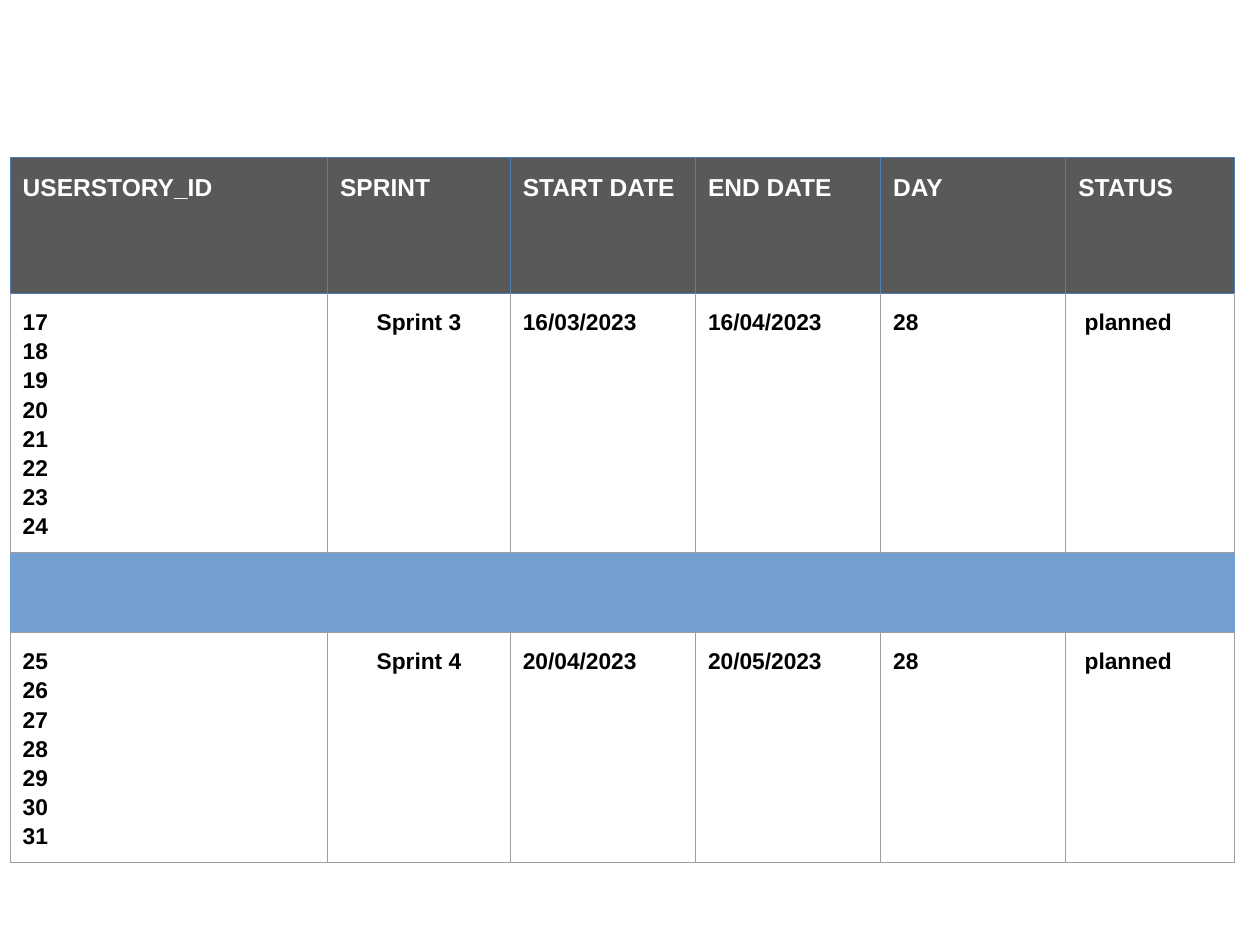
from pptx import Presentation
from pptx import util as u
from pptx.dml.color import RGBColor
from pptx.enum import text
from pptx.oxml.ns import qn
from lxml import etree

WHITE = RGBColor(0xFF, 0xFF, 0xFF)
BLACK = RGBColor(0, 0, 0)
DARK = RGBColor(0x59, 0x59, 0x59)
BLUE = RGBColor(0x4F, 0x7D, 0xB6)
GREY = RGBColor(0x9E, 0x9E, 0x9E)
BAND = RGBColor(0x72, 0x9F, 0xCF)


def write(tf, lines, size=13, color=BLACK, align=None):
    for i, line in enumerate(lines):
        p = tf.paragraphs[0] if i == 0 else tf.add_paragraph()
        p.line_spacing = 1.15
        p.alignment = align
        r = p.add_run()
        r.text = line
        r.font.name, r.font.size, r.font.bold = "Arial", u.Pt(size), True
        r.font.color.rgb = color


class SprintSlide:
    """Holds the slide and the table style; lengths are percent of the slide."""

    def __init__(self, prs):
        self.prs = prs
        self.s = prs.slides.add_slide(prs.slide_layouts[6])

    def x(self, percent):
        return int(self.prs.slide_width * percent / 100)

    def y(self, percent):
        return int(self.prs.slide_height * percent / 100)

    def table(self, left, top, cols, rows):
        tbl = self.s.shapes.add_table(len(rows), len(cols), self.x(left), self.y(top),
                                      self.x(sum(cols)), self.y(sum(rows))).table
        tbl.first_row = tbl.horz_banding = False
        for col, width in zip(tbl.columns, cols):
            col.width = self.x(width)
        for row, height in zip(tbl.rows, rows):
            row.height = self.y(height)
        return tbl

    def cell(self, cell, fill=None, **edges):
        cell.margin_left = cell.margin_right = u.Inches(0.1)
        cell.margin_top = cell.margin_bottom = u.Inches(0.1)
        # Borders come before the fill in the cell properties
        tcPr = cell._tc.get_or_add_tcPr()
        for side in "LRTB":
            ln = etree.SubElement(tcPr, qn(f"a:ln{side}"), w=str(u.Pt(0.75)))
            solid = etree.SubElement(ln, qn("a:solidFill"))
            color = edges.get(side, edges["line"])
            etree.SubElement(solid, qn("a:srgbClr"), val=str(color))
        if fill is None:
            cell.fill.background()
        else:
            cell.fill.solid()
            cell.fill.fore_color.rgb = fill

    def sprint(self, tbl, row, values, top):
        """Fill one sprint, each of its cells spanning two rows."""
        for c, lines in enumerate(values):
            cell, below = tbl.cell(row, c), tbl.cell(row + 1, c)
            self.cell(cell, line=GREY, T=top)
            self.cell(below, fill=BAND if row == 1 else None,
                      line=BAND if row == 1 else GREY)
            cell.merge(below)
            write(cell.text_frame, lines,
                  align=text.PP_ALIGN.CENTER if c == 1 else None)
        # The status is set in slightly from the other columns
        tbl.cell(row, 5).margin_left = u.Inches(0.15)


def main():
    prs = Presentation()
    prs.slide_width, prs.slide_height = u.Inches(10), u.Inches(7.5)
    slide = SprintSlide(prs)
    tbl = slide.table(0.8, 16.67, cols=[25.2, 14.5, 14.7, 14.7, 14.7, 13.4],
                      rows=[14.4, 8.53, 8.53, 8.53, 9.2])

    # Header
    headings = ["USERSTORY_ID", "SPRINT", "START DATE", "END DATE", "DAY", "STATUS"]
    for c, heading in enumerate(headings):
        slide.cell(tbl.cell(0, c), fill=DARK, line=BLUE)
        write(tbl.cell(0, c).text_frame, [heading], size=14, color=WHITE)

    # Sprints: first and last user story, name, start, end
    sprints = [(17, 24, "Sprint 3", "16/03/2023", "16/04/2023", BLUE),
               (25, 31, "Sprint 4", "20/04/2023", "20/05/2023", GREY)]
    for i, (first, last, name, start, end, top) in enumerate(sprints):
        stories = [str(n) for n in range(first, last + 1)]
        slide.sprint(tbl, 1 + 2 * i,
                     [stories, [name], [start], [end], ["28"], ["planned"]], top)

    prs.save("out.pptx")


if __name__ == "__main__":
    main()
